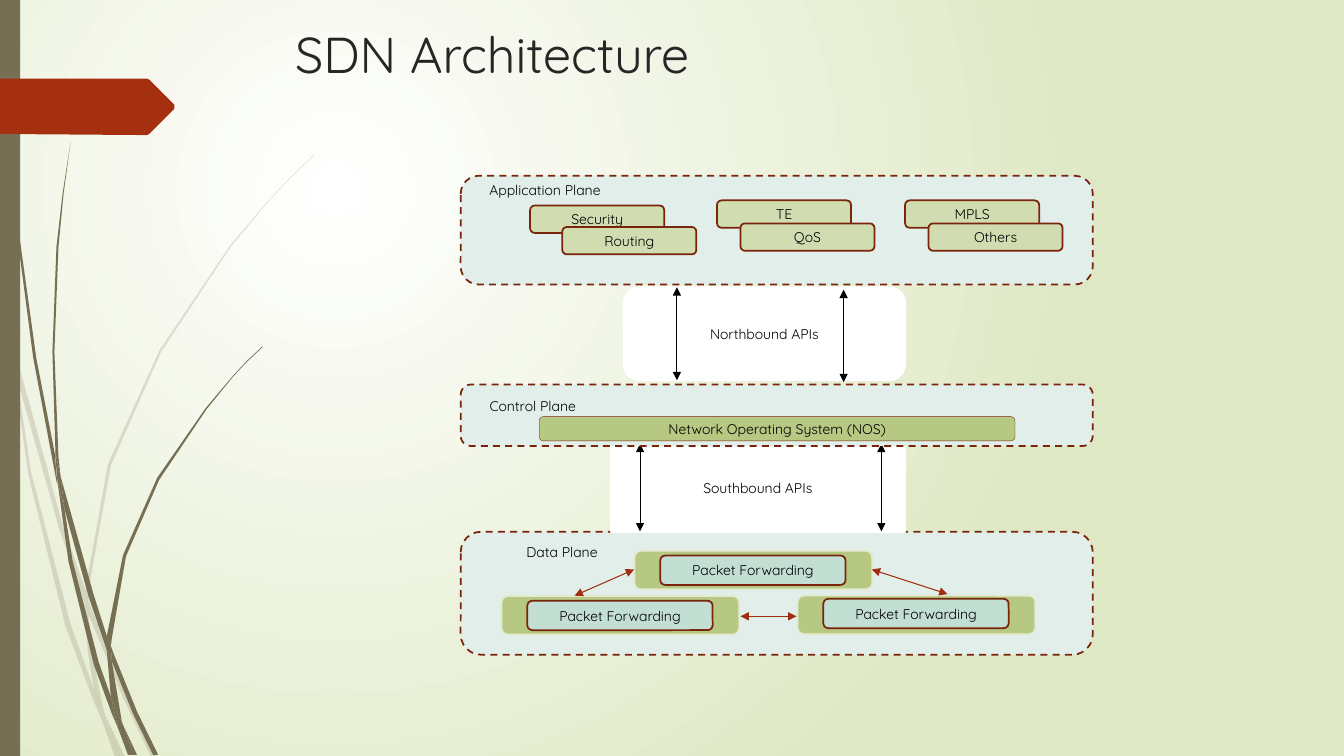
from dataclasses import dataclass

from lxml.etree import SubElement
from pptx import Presentation
from pptx.dml.color import RGBColor
from pptx.enum.dml import MSO_LINE
from pptx.enum.shapes import MSO_CONNECTOR, MSO_SHAPE as Preset
from pptx.enum.text import MSO_ANCHOR as Anchor, PP_ALIGN as Align
from pptx.oxml.ns import qn
from pptx.shapes.autoshape import Shape
from pptx.slide import Slide
from pptx.text.text import TextFrame
from pptx.util import Cm, Pt

FONT = "Quicksand"
OLIVE, RUST, MAROON = "766F54", "A53010", "7A240C"
MIST, MOSS, BLACK, WHITE = "E1EEE9", "B6C882", "000000", "FFFFFF"
OUTLINE_UNIT = Cm(2.54) / 100


@dataclass(frozen=True)
class Style:
    fill: str
    line: str
    width: float = 1.25
    dashed: bool = False
    preset: Preset = Preset.ROUNDED_RECTANGLE


@dataclass(frozen=True)
class Box:
    style: Style
    left: float
    top: float
    width: float
    height: float
    text: str = ""


@dataclass(frozen=True)
class Link:
    x1: float
    y1: float
    x2: float
    y2: float
    color: str = BLACK


PLANE = Style(MIST, MAROON, dashed=True)
LABEL = Style(MIST, MIST)
PLATE = Style(MOSS, "E3EACF")
FORWARDER = Style("C3DED3", MAROON)
APP = Style("D1DDB0", MAROON)
NOS = Style(MOSS, MAROON, 0.25)
NORTH = Style(WHITE, WHITE)
SOUTH = Style(WHITE, WHITE, preset=Preset.RECTANGLE)

# Grass and tag outlines are corner points in OUTLINE_UNIT.
PALE_GRASS = (
    ((11, 350), (9, 322), (0, 282), (0, 299), (10, 344)),
    ((58, 522), (84, 599), (85, 586), (62, 520), (14, 345), (17, 376)),
    ((92, 607), (88, 596), (88, 610), (123, 694), (150, 751), (155, 751), (127, 692)),
    ((119, 751), (124, 751), (105, 711)),
    ((93, 683), (70, 619), (31, 469), (17, 376), (11, 350), (28, 470), (65, 621),
     (92, 693), (101, 714), (99, 707)),
    ((84, 599), (87, 646), (93, 683), (96, 692), (105, 711), (103, 706), (91, 646),
     (88, 610), (88, 608)),
    ((88, 584), (110, 462), (160, 349), (229, 245), (268, 198), (290, 175), (312, 154),
     (312, 153), (289, 175), (268, 197), (228, 244), (158, 348), (107, 461), (85, 584),
     (85, 586), (88, 596)),
    ((101, 714), (114, 751), (119, 751)),
    ((88, 608), (88, 610), (88, 596), (85, 586), (84, 599)),
    ((96, 692), (93, 683), (99, 707), (101, 714), (119, 751), (105, 711)),
)
DARK_GRASS = (
    ((7, 110), (17, 233), (33, 355), (56, 477), (57, 481), (55, 457), (55, 453),
     (36, 355), (19, 232), (8, 109), (5, 48), (4, 0), (3, 0), (4, 48)),
    ((88, 592), (106, 645), (106, 633), (106, 631), (93, 590), (60, 472), (64, 505)),
    ((113, 649), (110, 641), (111, 656), (132, 708), (152, 749), (157, 749), (136, 706)),
    ((110, 691), (98, 657), (72, 556), (64, 505), (57, 477), (68, 557), (93, 659),
     (111, 708), (117, 722), (116, 717)),
    ((60, 472), (58, 453), (54, 349), (58, 245), (63, 193), (70, 141), (62, 193),
     (56, 245), (52, 349), (55, 449)),
    ((133, 749), (136, 749), (122, 719)),
    ((57, 477), (64, 505), (60, 472), (55, 449), (55, 453)),
    ((111, 633), (125, 552), (158, 476), (205, 406), (231, 374), (245, 359), (261, 344),
     (260, 344), (245, 358), (231, 373), (204, 405), (156, 474), (122, 551), (106, 631),
     (110, 641)),
    ((117, 722), (127, 749), (131, 749)),
    ((106, 645), (110, 691), (116, 706), (122, 719), (121, 716), (111, 656), (109, 651)),
    ((106, 645), (109, 651), (111, 656), (110, 641), (106, 631), (106, 633)),
    ((116, 706), (110, 691), (116, 717), (117, 722), (130, 749), (133, 749), (122, 719)),
)
PAGE_TAG = ((173, 108), (148, 133), (146, 134), (136, 134), (0, 133), (0, 78),
            (146, 78), (148, 79), (173, 104))


def packet_node(left: float, top: float, chip_drop: float = .12) -> list[Box]:
    return [Box(PLATE, left, top, 5.99, .97),
            Box(FORWARDER, left + .65, top + chip_drop, 4.67, .74, "Packet Forwarding")]


def plane(top: float, height: float) -> Box:
    return Box(PLANE, 11.61, top, 15.93, height)


APPS = (("Security", 13.36, 5.18), ("Routing", 14.17, 5.72),
        ("TE", 18.07, 5.05), ("QoS", 18.66, 5.63),
        ("MPLS", 22.81, 5.05), ("Others", 23.4, 5.63))

DIAGRAM = [
    plane(13.4, 3.1),
    Box(LABEL, 12.02, 13.56, 4.29, .71, "Data Plane"),
    *packet_node(15.99, 13.88), *packet_node(12.64, 15.02),
    *packet_node(20.1, 15.01, .08),
    Link(14.48, 15.01, 15.98, 14.35, "9E2E0F"),
    Link(21.97, 14.35, 23.88, 14.97, "9E2E0F"),
    Link(18.66, 15.53, 20.07, 15.53, "9E2E0F"),
    Box(SOUTH, 15.39, 11.18, 7.42, 2.22, "Southbound APIs"),
    Link(16.13, 11.18, 16.13, 13.39), Link(22.21, 11.18, 22.21, 13.39),
    plane(9.69, 1.55),
    Box(LABEL, 11.89, 9.83, 3.07, .81, "Control Plane"),
    Box(NOS, 13.59, 10.5, 11.99, .61, "Network Operating System (NOS)"),
    Box(NORTH, 15.72, 7.24, 7.09, 2.34, "Northbound APIs"),
    Link(17.06, 7.24, 17.06, 9.58), Link(21.26, 7.3, 21.26, 9.63),
    plane(4.43, 2.74),
    *(Box(APP, left, top, 3.38, .69, name) for name, left, top in APPS),
    Box(LABEL, 11.92, 4.5, 3.63, .58, "Application Plane"),
]


def rgb(color: str) -> RGBColor:
    return RGBColor.from_string(color)


def write_text(frame: TextFrame, text: str, *, size: float = 10,
               color: str = BLACK, align: Align = Align.CENTER,
               anchor: Anchor = Anchor.MIDDLE,
               margin_left: float = 0, margin_top: float = 0) -> None:
    frame.word_wrap = True
    frame.vertical_anchor = anchor
    frame.margin_left, frame.margin_top = Cm(margin_left), Cm(margin_top)
    frame.margin_right = frame.margin_bottom = 0
    paragraph = frame.paragraphs[0]
    paragraph.alignment = align
    run = paragraph.add_run()
    run.text = text
    run.font.name, run.font.size = FONT, Pt(size)
    run.font.color.rgb = rgb(color)


def paint_flat(shape: Shape, color: str) -> None:
    shape.shadow.inherit = False
    shape.fill.solid()
    shape.fill.fore_color.rgb = rgb(color)
    shape.line.fill.background()


def draw_box(slide: Slide, box: Box) -> None:
    style = box.style
    shape = slide.shapes.add_shape(style.preset, Cm(box.left), Cm(box.top),
                                   Cm(box.width), Cm(box.height))
    paint_flat(shape, style.fill)
    shape.line.color.rgb = rgb(style.line)
    shape.line.width = Pt(style.width)
    if style.dashed:
        shape.line.dash_style = MSO_LINE.DASH
    if box.text:
        write_text(shape.text_frame, box.text)


def draw_link(slide: Slide, link: Link) -> None:
    arrow = slide.shapes.add_connector(MSO_CONNECTOR.STRAIGHT, Cm(link.x1), Cm(link.y1),
                                       Cm(link.x2), Cm(link.y2))
    arrow.line.color.rgb = rgb(link.color)
    arrow.line.width = Pt(.75)
    outline = arrow.element.spPr.find(qn("a:ln"))
    for end in ("a:headEnd", "a:tailEnd"):
        SubElement(outline, qn(end), type="triangle")
    SubElement(arrow.element.spPr, qn("a:effectLst"))


def draw_outline(slide: Slide, corners: tuple, color: str, opacity: int = 100) -> None:
    builder = slide.shapes.build_freeform(*corners[0], scale=OUTLINE_UNIT)
    builder.add_line_segments(corners[1:])
    shape = builder.convert_to_shape()
    paint_flat(shape, color)
    if opacity < 100:
        tint = shape.element.spPr.find(".//" + qn("a:srgbClr"))
        SubElement(tint, qn("a:alpha"), val=str(opacity * 1000))


def paint_background(slide: Slide) -> None:
    fill = slide.background.fill
    fill.gradient()
    for stop, color, position in zip(fill.gradient_stops, (WHITE, "DFE8C4"), (0, 1)):
        stop.color.rgb = rgb(color)
        stop.position = position
    gradient = slide.element.find(".//" + qn("a:gradFill"))
    gradient.remove(gradient.find(qn("a:lin")))
    circle = SubElement(gradient, qn("a:path"), path="circle")
    SubElement(circle, qn("a:fillToRect"), l="50000", t="50000", r="100000", b="100000")


def main() -> None:
    deck = Presentation()
    deck.slide_width, deck.slide_height = Cm(33.87), Cm(19.05)
    slide = deck.slides.add_slide(deck.slide_layouts[5])
    paint_background(slide)

    for blade in PALE_GRASS:
        draw_outline(slide, blade, OLIVE, opacity=20)
    for blade in DARK_GRASS:
        draw_outline(slide, blade, OLIVE)
    side_bar = slide.shapes.add_shape(Preset.RECTANGLE, 0, 0, Cm(.51), Cm(19.05))
    paint_flat(side_bar, OLIVE)
    draw_outline(slide, PAGE_TAG, RUST)

    title = slide.shapes.title
    title.left, title.top, title.width, title.height = Cm(7.21), Cm(.48), Cm(24.77), Cm(1.98)
    write_text(title.text_frame, "SDN Architecture", size=36, color="262626",
               align=Align.LEFT, anchor=Anchor.TOP, margin_left=.23, margin_top=.1)

    for part in DIAGRAM:
        if isinstance(part, Box):
            draw_box(slide, part)
        else:
            draw_link(slide, part)
    deck.save("out.pptx")


if __name__ == "__main__":
    main()
